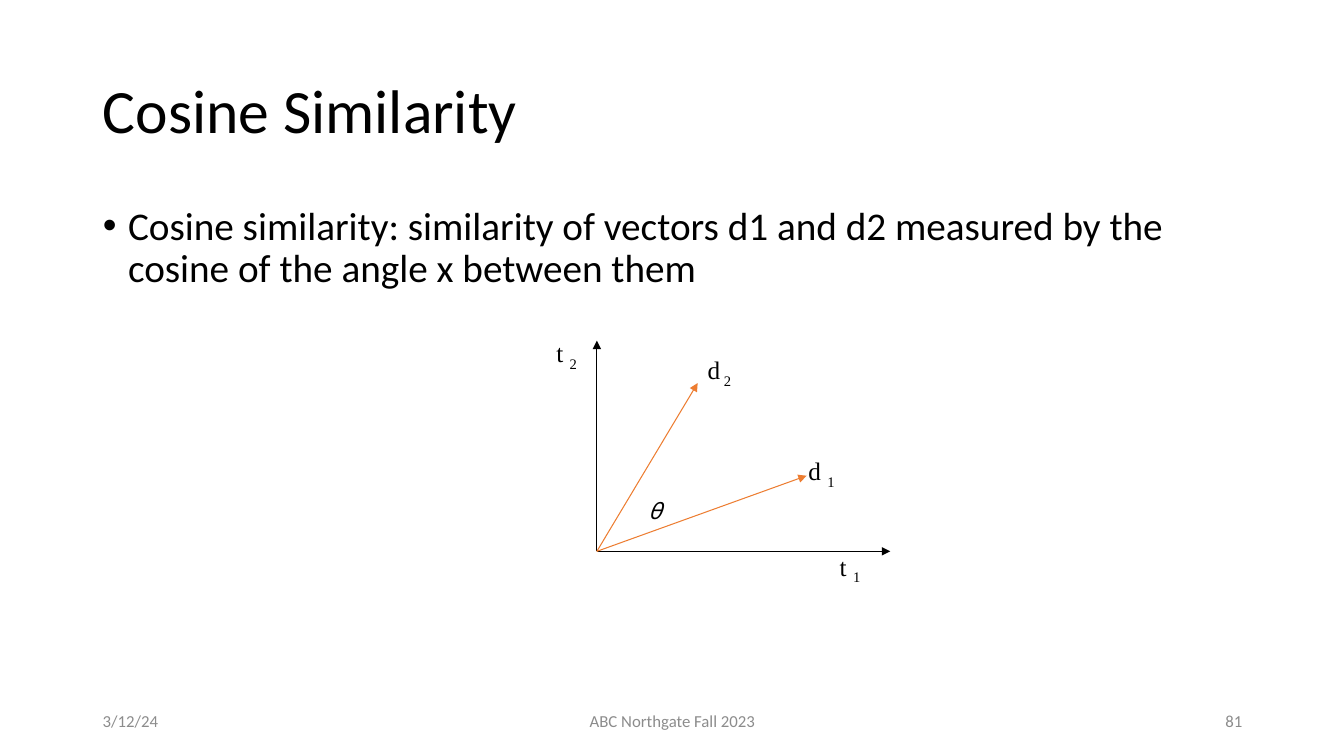
from lxml import etree
from pptx import Presentation
from pptx.dml.color import RGBColor
from pptx.enum.shapes import MSO_CONNECTOR
from pptx.enum.text import MSO_ANCHOR, MSO_AUTO_SIZE, PP_ALIGN
from pptx.oxml.ns import qn
from pptx.util import Inches, Pt

BLACK = RGBColor(0x00, 0x00, 0x00)
GRAY = RGBColor(0x8C, 0x8C, 0x8C)
ORANGE = RGBColor(0xED, 0x7D, 0x31)
BLUE = RGBColor(0x33, 0x66, 0xFF)
LEFT, CENTER, RIGHT = PP_ALIGN.LEFT, PP_ALIGN.CENTER, PP_ALIGN.RIGHT
MIDDLE, TOP = MSO_ANCHOR.MIDDLE, MSO_ANCHOR.TOP
NO_FIT, GROW = MSO_AUTO_SIZE.NONE, MSO_AUTO_SIZE.SHAPE_TO_FIT_TEXT
STRAIGHT = MSO_CONNECTOR.STRAIGHT
SERIF = "Times New Roman"


def place(shape, x, y, w, h):
    shape.left, shape.top = Inches(x), Inches(y)
    shape.width, shape.height = Inches(w), Inches(h)


def style(run, size, face="Calibri", color=BLACK):
    run.font.size = Pt(size)
    run.font.name = face
    run.font.color.rgb = color


prs = Presentation()
prs.slide_width, prs.slide_height = Inches(13.33), Inches(7.5)
slide = prs.slides.add_slide(prs.slide_layouts[1])

# Title and body
title, body = slide.placeholders
place(title, 0.92, 0.4, 11.5, 1.45)
place(body, 0.92, 2, 11.5, 4.76)
title.text_frame.text = "Cosine Similarity"
body.text_frame.text = (
    "Cosine similarity: similarity of vectors d1 and d2 measured by the "
    "cosine of the angle x between them"
)
for shape, size, anchor, gap in ((title, 44, MIDDLE, 0), (body, 28, TOP, 10)):
    frame = shape.text_frame
    frame.auto_size = NO_FIT
    frame.vertical_anchor = anchor
    para = frame.paragraphs[0]
    para.alignment = LEFT
    para.line_spacing = 0.9
    para.space_before = Pt(gap)
    style(para.runs[0], size)

props = body.text_frame.paragraphs[0]._p.get_or_add_pPr()
props.set("marL", str(Inches(0.25)))
props.set("indent", str(Inches(-0.25)))
etree.SubElement(props, qn("a:buFont"), typeface="Arial")
etree.SubElement(props, qn("a:buChar"), char="•")

# Footer
for text, x, w, align in (
    ("3/12/24", 0.92, 3, LEFT),
    ("ABC Northgate Fall 2023", 4.42, 4.5, CENTER),
    ("81", 9.42, 3, RIGHT),
):
    box = slide.shapes.add_textbox(Inches(x), Inches(6.95), Inches(w), Inches(0.4))
    frame = box.text_frame
    frame.word_wrap = True
    frame.vertical_anchor = MIDDLE
    frame.text = text
    para = frame.paragraphs[0]
    para.alignment = align
    style(para.runs[0], 12, color=GRAY)

# Axes and vectors, all from one origin
graph = slide.shapes.add_group_shape().shapes
origin = Inches(5.92), Inches(5.47)
for x, y, color in (
    (8.83, 5.47, BLACK),
    (5.92, 3.38, BLACK),
    (8, 4.72, ORANGE),
    (6.92, 3.8, ORANGE),
):
    arrow = graph.add_connector(STRAIGHT, *origin, Inches(x), Inches(y))
    arrow.line.color.rgb = color
    arrow.line.width = Pt(0.75)
    etree.SubElement(arrow.line._get_or_add_ln(), qn("a:tailEnd"), type="triangle")
    etree.SubElement(arrow._element.spPr, qn("a:effectLst"))

# Labels with subscripts
for name, sub, x, y, w, wrap in (
    ("t ", "1", 8.23, 5.42, 0.42, False),
    ("d", " 2", 6.92, 3.47, 0.51, True),
    ("d ", "1", 7.92, 4.47, 0.47, False),
    ("t ", "2", 5.42, 3.3, 0.42, False),
):
    box = graph.add_textbox(Inches(x), Inches(y), Inches(w), Inches(0.4))
    frame = box.text_frame
    frame.word_wrap = wrap
    frame.auto_size = GROW
    para = frame.paragraphs[0]
    para.text = name
    low = para.add_run()
    low.text = sub
    for run in para.runs:
        style(run, 18, SERIF)
    low._r.get_or_add_rPr().set("baseline", "-25000")

# Angle arc: two Bezier curves, sampled
curves = (
    ((6.17, 5.07), (6.23, 5.05), (6.29, 5.03), (6.33, 5.07)),
    ((6.33, 5.07), (6.38, 5.11), (6.4, 5.26), (6.42, 5.3)),
)
STEPS = 12
points = []
for curve in curves:
    for step in range(1, STEPS + 1):
        t = step / STEPS
        parts = ((1 - t) ** 3, 3 * t * (1 - t) ** 2, 3 * t**2 * (1 - t), t**3)
        points.append([sum(k * v for k, v in zip(parts, axis)) for axis in zip(*curve)])
pen = graph.build_freeform(*curves[0][0], scale=Inches(1))
pen.add_line_segments(points, close=False)
arc = pen.convert_to_shape()
arc.shadow.inherit = False
arc.fill.background()
arc.line.color.rgb = BLUE
arc.line.width = Pt(0.75)

theta = graph.add_textbox(Inches(6.33), Inches(4.88), Inches(0.3), Inches(0.37))
frame = theta.text_frame
frame.word_wrap = True
frame.auto_size = GROW
frame.text = "θ"
run = frame.paragraphs[0].runs[0]
style(run, 16, "Noto Sans Mono")
run.font.italic = True

prs.save("out.pptx")
